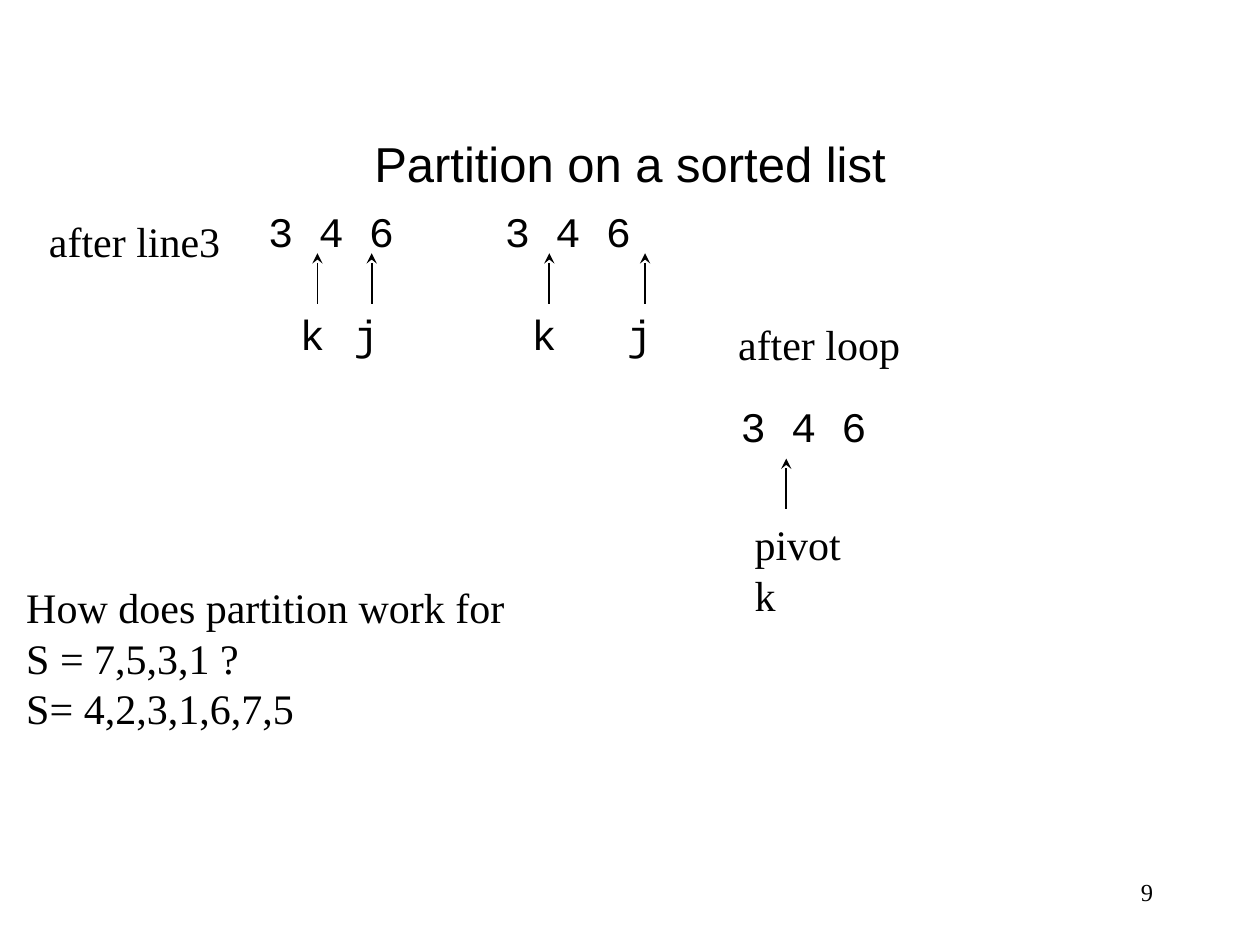
from lxml import etree
from pptx import Presentation
from pptx.dml.color import RGBColor
from pptx.enum.shapes import MSO_CONNECTOR
from pptx.enum.text import MSO_ANCHOR, MSO_AUTO_SIZE, PP_ALIGN
from pptx.oxml.ns import qn
from pptx.util import Inches, Pt

BLACK = RGBColor(0, 0, 0)
WHITE = RGBColor(255, 255, 255)
SANS, SERIF, MONO = "Arial", "Times New Roman", "Courier New"
ROW_H = 0.5
ARROW_H = 0.4


def add_text(s, text, x, y, w, h=ROW_H, font=SERIF, size=24,
             align=PP_ALIGN.LEFT, fixed=False):
    """Fixed boxes wrap and centre vertically; others fit their text."""
    tf = s.shapes.add_textbox(*map(Inches, (x, y, w, h))).text_frame
    tf.word_wrap = fixed
    tf.auto_size = MSO_AUTO_SIZE.NONE if fixed else MSO_AUTO_SIZE.SHAPE_TO_FIT_TEXT
    tf.vertical_anchor = MSO_ANCHOR.MIDDLE if fixed else MSO_ANCHOR.TOP
    p = tf.paragraphs[0]
    p.text = text.replace("\n", "\v")
    p.alignment = align
    for r in p.runs:
        for name, value in {"name": font, "size": Pt(size)}.items():
            setattr(r.font, name, value)
        r.font.color.rgb = BLACK


def add_up_arrow(s, x, y):
    c = s.shapes.add_connector(MSO_CONNECTOR.STRAIGHT, Inches(x), Inches(y),
                               Inches(x), Inches(y + ARROW_H))
    c.line.color.rgb = BLACK
    c.line.width = Pt(1)
    etree.SubElement(c.line._get_or_add_ln(), qn("a:headEnd"), type="stealth")
    etree.SubElement(c._element.spPr, qn("a:effectLst"))


def add_list_state(s, x, y, w, pointers):
    """Draw the list with an index arrow below it for each (name, offset)."""
    add_text(s, "3 4 6", x, y, w, font=MONO)
    for name, dx in pointers:
        add_up_arrow(s, x + dx, y + 0.43)
        add_text(s, name, x + dx - 0.24, y + 0.82, 0.4, font=MONO)


def add_after_loop(s, x, y):
    add_text(s, "after loop", x, y, 1.49)
    add_list_state(s, x + 0.02, y + 0.65, 1.2, [])
    add_up_arrow(s, x + 0.48, y + 1.16)
    add_text(s, "pivot\nk", x + 0.13, y + 1.59, 0.89, 0.9)


def main():
    prs = Presentation()
    prs.slide_width, prs.slide_height = Inches(10), Inches(7.5)
    s = prs.slides.add_slide(prs.slide_layouts[6])
    s.background.fill.solid()
    s.background.fill.fore_color.rgb = WHITE

    add_text(s, "Partition on a sorted list", 0.75, 0.67, 8.5, 1.25,
             font=SANS, size=28, align=PP_ALIGN.CENTER, fixed=True)
    add_text(s, "after line3", 0.29, 1.66, 1.56)
    add_list_state(s, 2.03, 1.58, 1.4, [("k", 0.49), ("j", 0.92)])
    add_list_state(s, 3.91, 1.58, 1.2, [("k", 0.45), ("j", 1.21)])
    add_after_loop(s, 5.76, 2.48)
    add_text(s, "How does partition work for\nS = 7,5,3,1 ?\nS= 4,2,3,1,6,7,5",
             0.11, 4.57, 4.08, 1.3)
    add_text(s, "9", 7.17, 6.83, 2.08, size=14, align=PP_ALIGN.RIGHT, fixed=True)

    prs.save("out.pptx")


if __name__ == "__main__":
    main()
